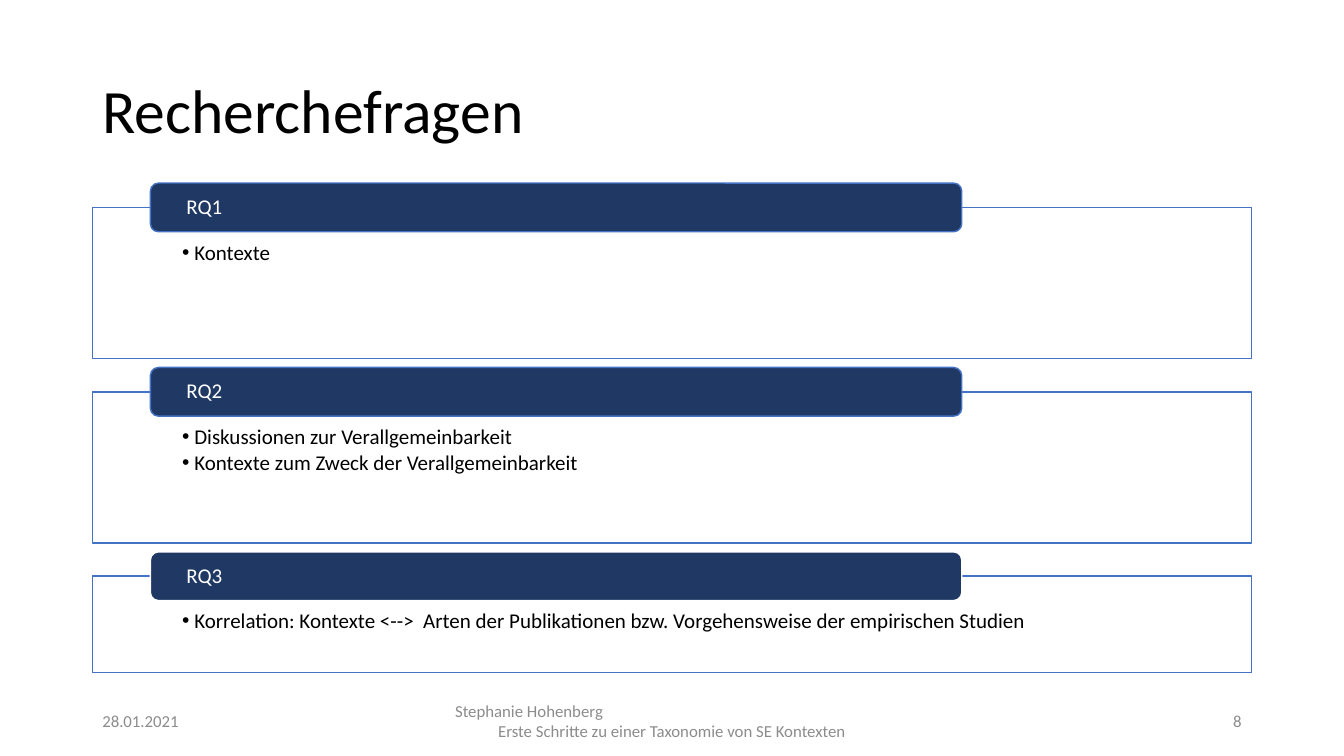
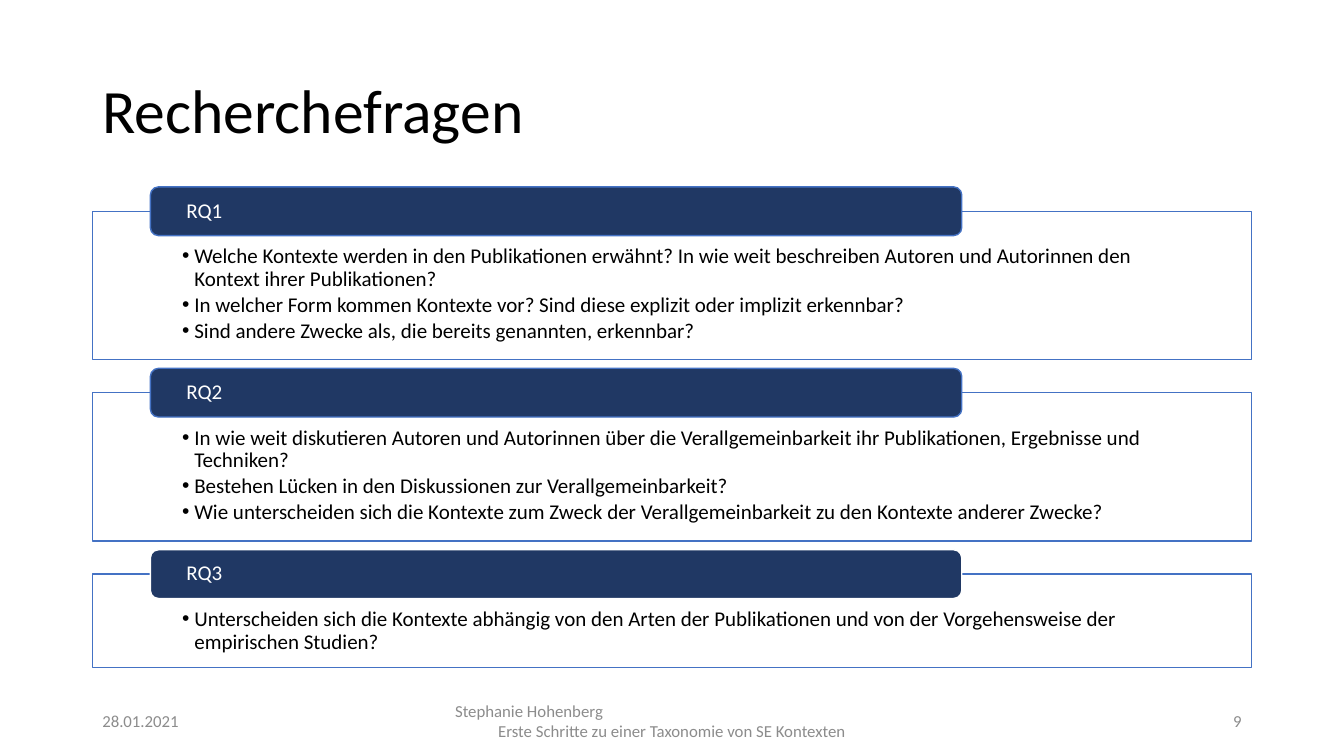
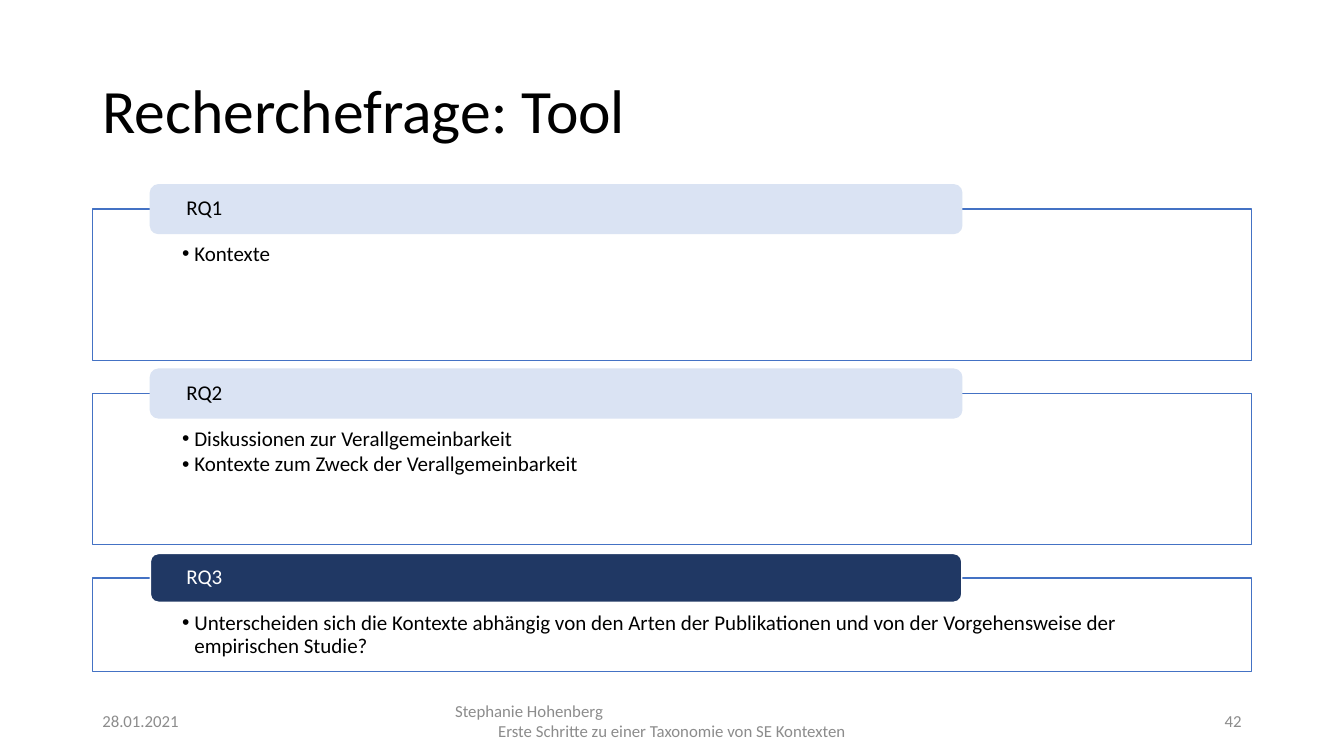
from dataclasses import dataclass

from lxml import etree
from pptx import Presentation
from pptx import util as u
from pptx.dml.color import RGBColor
from pptx.enum import shapes, text
from pptx.oxml import ns

BLACK = RGBColor(0x00, 0x00, 0x00)
WHITE = RGBColor(0xFF, 0xFF, 0xFF)
NAVY = RGBColor(0x20, 0x38, 0x64)
BLUE = RGBColor(0x44, 0x72, 0xC4)
PALE = RGBColor(0xDA, 0xE3, 0xF3)
GRAY = RGBColor(0x8C, 0x8C, 0x8C)

FONT = "Calibri"
COLS, ROWS = 160, 90
CELL = u.Inches(7.5) / ROWS
LEFT, WIDTH = 11, 138
TAB_LEFT, TAB_WIDTH, TAB_HEIGHT = 17.9, 96.6, 5.8
PANEL_GAP = 3.95
FOOTER_TOP, FOOTER_HEIGHT = 83.4, 4.8
HANG = u.Inches(0.12)


@dataclass(frozen=True)
class TabStyle:
    fill: RGBColor
    line: RGBColor
    font: RGBColor


@dataclass(frozen=True)
class Question:
    label: str
    bullets: tuple[str, ...]
    rows: float
    style: TabStyle


@dataclass(frozen=True)
class Page:
    title: str
    number: str
    top: float
    questions: tuple[Question, ...]


@dataclass(frozen=True)
class FooterPart:
    content: str
    left: float
    width: float
    aligns: tuple[text.PP_ALIGN, ...]


OUTLINED = TabStyle(NAVY, BLUE, WHITE)
PLAIN = TabStyle(NAVY, WHITE, WHITE)
MUTED = TabStyle(PALE, PALE, BLACK)

CONTEXTS = ("Kontexte",)
GENERALITY = (
    "Diskussionen zur Verallgemeinbarkeit",
    "Kontexte zum Zweck der Verallgemeinbarkeit",
)

PAGES = (
    Page("Recherchefragen", "8", 24.7, (
        Question("RQ1", CONTEXTS, 18, OUTLINED),
        Question("RQ2", GENERALITY, 18, OUTLINED),
        Question("RQ3", (
            "Korrelation: Kontexte <-->  Arten der Publikationen bzw. Vorgehensweise der empirischen Studien",
        ), 11.5, PLAIN),
    )),
    Page("Recherchefragen", "9", 25.15, (
        Question("RQ1", (
            "Welche Kontexte werden in den Publikationen erwähnt? In wie weit beschreiben Autoren und Autorinnen den Kontext ihrer Publikationen?",
            "In welcher Form kommen Kontexte vor? Sind diese explizit oder implizit erkennbar?",
            "Sind andere Zwecke als, die bereits genannten, erkennbar?",
        ), 17.65, OUTLINED),
        Question("RQ2", (
            "In wie weit diskutieren Autoren und Autorinnen über die Verallgemeinbarkeit ihr Publikationen, Ergebnisse und Techniken?",
            "Bestehen Lücken in den Diskussionen zur Verallgemeinbarkeit?",
            "Wie unterscheiden sich die Kontexte zum Zweck der Verallgemeinbarkeit zu den Kontexte anderer Zwecke?",
        ), 17.65, OUTLINED),
        Question("RQ3", (
            "Unterscheiden sich die Kontexte abhängig von den Arten der Publikationen und von der Vorgehensweise der empirischen Studien?",
        ), 11.15, PLAIN),
    )),
    Page("Recherchefrage: Tool", "42", 24.9, (
        Question("RQ1", CONTEXTS, 18, MUTED),
        Question("RQ2", GENERALITY, 18, MUTED),
        Question("RQ3", (
            "Unterscheiden sich die Kontexte abhängig von den Arten der Publikationen und von der Vorgehensweise der empirischen Studie?",
        ), 11.15, PLAIN),
    )),
)


def cells(count: float) -> u.Emu:
    return u.Emu(round(count * CELL))


def box(left: float, top: float, width: float, height: float) -> tuple[u.Emu, ...]:
    return tuple(cells(n) for n in (left, top, width, height))


def write(sp, content: str, size: float, color: RGBColor,
          anchor=text.MSO_ANCHOR.MIDDLE, spacing: float = 1.0) -> None:
    tf = sp.text_frame
    tf.text = content
    tf.word_wrap = True
    tf.auto_size = text.MSO_AUTO_SIZE.NONE
    tf.vertical_anchor = anchor
    for p in tf.paragraphs:
        p.alignment = text.PP_ALIGN.LEFT
        p.line_spacing = spacing
        for r in p.runs:
            r.font.name = FONT
            r.font.size = u.Pt(size)
            r.font.color.rgb = color


def inset(sp, side: float, top: float, bottom: float) -> None:
    tf = sp.text_frame
    tf.margin_left = tf.margin_right = cells(side)
    tf.margin_top, tf.margin_bottom = cells(top), cells(bottom)


def add_bullet(p) -> None:
    p.space_after = u.Pt(2.25)
    props = p._p.get_or_add_pPr()
    props.set("marL", str(HANG))
    props.set("indent", str(-HANG))
    etree.SubElement(props, ns.qn("a:buFont")).set("typeface", "Arial")
    etree.SubElement(props, ns.qn("a:buChar")).set("char", "•")


def add_box(s, kind, place: tuple[u.Emu, ...], fill: RGBColor, line: RGBColor):
    sp = s.shapes.add_shape(kind, *place)
    sp.shadow.inherit = False
    sp.fill.solid()
    sp.fill.fore_color.rgb = fill
    sp.line.color.rgb = line
    sp.line.width = u.Pt(1)
    return sp


def add_question(s, question: Question, top: float) -> None:
    panel = add_box(s, shapes.MSO_SHAPE.RECTANGLE,
                    box(LEFT, top, WIDTH, question.rows), WHITE, BLUE)
    color = panel.element.spPr.find(ns.qn("a:solidFill"))[0]
    etree.SubElement(color, ns.qn("a:alpha")).set("val", "90000")
    write(panel, "\n".join(question.bullets), 15, BLACK, text.MSO_ANCHOR.TOP, 0.9)
    inset(panel, 10.7, 4.1, 1.4)
    for p in panel.text_frame.paragraphs:
        add_bullet(p)

    style = question.style
    tab = add_box(s, shapes.MSO_SHAPE.ROUNDED_RECTANGLE,
                  box(TAB_LEFT, top - TAB_HEIGHT / 2, TAB_WIDTH, TAB_HEIGHT),
                  style.fill, style.line)
    write(tab, question.label, 15, style.font, spacing=0.9)
    inset(tab, 4, 0, 0)


def add_footer(s, number: str) -> None:
    align = text.PP_ALIGN
    parts = (
        FooterPart("28.01.2021", LEFT, 36, (align.LEFT,)),
        FooterPart("Stephanie Hohenberg\nErste Schritte zu einer Taxonomie von SE Kontexten",
                   (COLS - 54) / 2, 54, (align.LEFT, align.CENTER)),
        FooterPart(number, LEFT + WIDTH - 36, 36, (align.RIGHT,)),
    )
    for part in parts:
        sp = s.shapes.add_textbox(*box(part.left, FOOTER_TOP, part.width, FOOTER_HEIGHT))
        write(sp, part.content, 12, GRAY)
        for p, alignment in zip(sp.text_frame.paragraphs, part.aligns):
            p.alignment = alignment


def add_page(prs, page: Page) -> None:
    s = prs.slides.add_slide(prs.slide_layouts[5])
    title = s.shapes.title
    title.left, title.top, title.width, title.height = box(LEFT, 4.8, WIDTH, 17.4)
    write(title, page.title, 44, BLACK, spacing=0.9)
    top = page.top
    for question in page.questions:
        add_question(s, question, top)
        top += question.rows + PANEL_GAP
    add_footer(s, page.number)


def main() -> None:
    prs = Presentation()
    prs.slide_width, prs.slide_height = cells(COLS), cells(ROWS)
    for page in PAGES:
        add_page(prs, page)
    prs.save("out.pptx")


if __name__ == "__main__":
    main()
